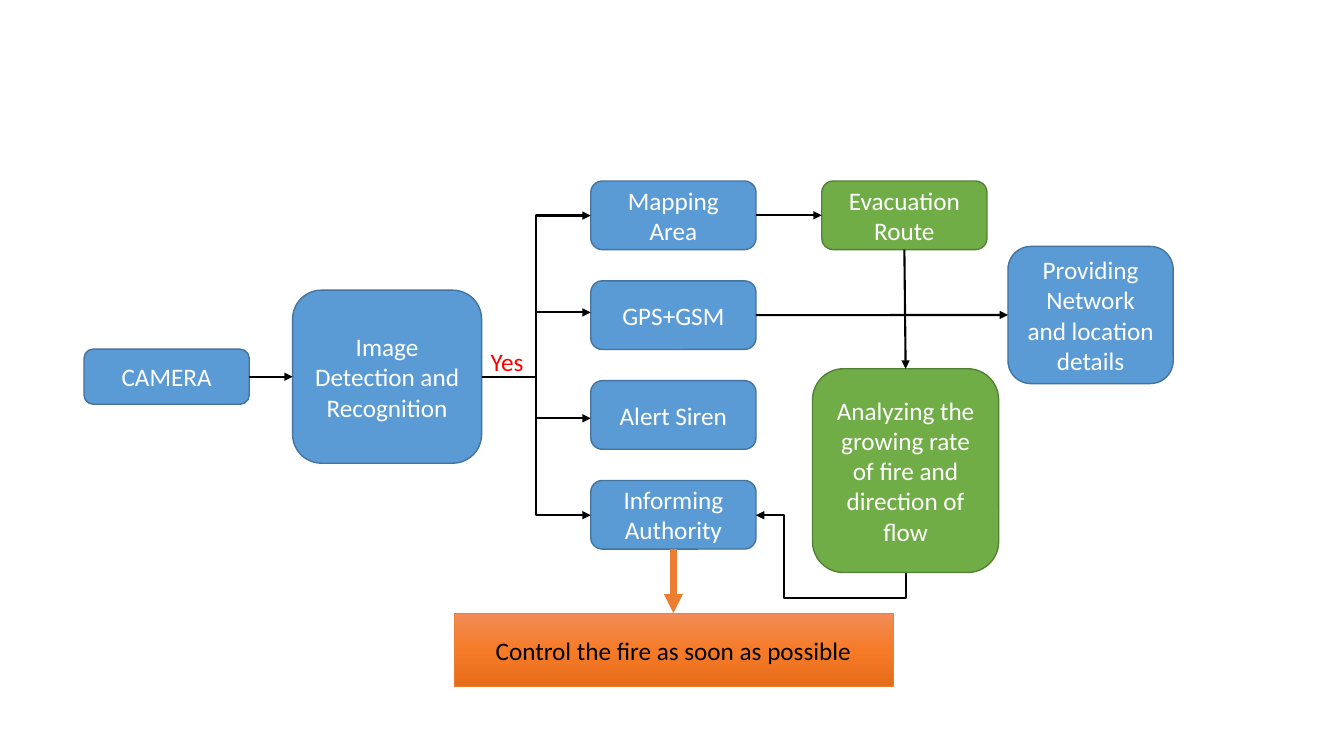
from copy import deepcopy

from lxml import etree
from pptx import Presentation
from pptx import util as u
from pptx.dml.color import RGBColor
from pptx.enum import shapes, text
from pptx.oxml.ns import qn

COLORS = {
    "blue": "5B9BD5", "blue_edge": "43739E",
    "green": "70AD47", "green_edge": "538035",
    "orange": "ED7D31", "white": "FFFFFF", "black": "000000", "red": "FF0000",
    "fire_top": "F18C57", "fire_mid": "F67B28", "fire_bottom": "E56C19",
}
TOP, LEFT, BOTTOM, RIGHT = range(4)


def color(name):
    return RGBColor.from_string(COLORS[name])


class FlowSlide:
    font = "Calibri"
    size = 18

    def __init__(self, deck):
        self.slide = deck.slides.add_slide(deck.slide_layouts[6])

    def add_words(self, frame, words, ink, align):
        paragraph = frame.paragraphs[0]
        paragraph.alignment = align
        run = paragraph.add_run()
        run.text = words
        run.font.name = self.font
        run.font.size = u.Pt(self.size)
        run.font.color.rgb = color(ink)

    def box(self, words, x, y, w, h, fill="blue", edge="blue_edge", edge_width=1,
            ink="white", kind=shapes.MSO_SHAPE.ROUNDED_RECTANGLE):
        box = self.slide.shapes.add_shape(kind, u.Pt(x), u.Pt(y), u.Pt(w), u.Pt(h))
        box.shadow.inherit = False
        box.fill.solid()
        box.fill.fore_color.rgb = color(fill)
        box.line.color.rgb = color(edge)
        box.line.width = u.Pt(edge_width)
        box.text_frame.word_wrap = True
        box.text_frame.vertical_anchor = text.MSO_ANCHOR.MIDDLE
        self.add_words(box.text_frame, words, ink, text.PP_ALIGN.CENTER)
        return box

    def gradient(self, box, names):
        box.fill.gradient()
        box.fill.gradient_angle = 270
        stop_list = box._element.spPr.find(qn("a:gradFill")).find(qn("a:gsLst"))
        while len(stop_list) < len(names):
            stop_list.append(deepcopy(stop_list[0]))
        for i, (stop, name) in enumerate(zip(box.fill.gradient_stops, names)):
            stop.position = i / (len(names) - 1)
            stop.color.rgb = color(name)

    def label(self, words, x, y, w, h, ink):
        frame = self.slide.shapes.add_textbox(u.Pt(x), u.Pt(y), u.Pt(w), u.Pt(h)).text_frame
        frame.word_wrap = False
        self.add_words(frame, words, ink, text.PP_ALIGN.LEFT)

    def connector(self, kind, x1, y1, x2, y2, ink="black", width=1.5):
        link = self.slide.shapes.add_connector(kind, u.Pt(x1), u.Pt(y1), u.Pt(x2), u.Pt(y2))
        link.line.color.rgb = color(ink)
        link.line.width = u.Pt(width)
        properties = link._element.spPr
        etree.SubElement(properties.find(qn("a:ln")), qn("a:tailEnd"), type="triangle")
        etree.SubElement(properties, qn("a:effectLst"))
        return link

    def arrow(self, source, source_side, target, target_side, **style):
        link = self.connector(shapes.MSO_CONNECTOR.STRAIGHT, 0, 0, 0, 0, **style)
        link.begin_connect(source, source_side)
        link.end_connect(target, target_side)

    def elbow(self, x1, y1, x2, y2):
        return self.connector(shapes.MSO_CONNECTOR.ELBOW, x1, y1, x2, y2)

    def return_elbow(self, x1, y1, x2, y2, drop, turn):
        middle_x, middle_y = (x1 + x2) / 2, (y1 + y2) / 2
        half_w, half_h = (y1 - y2) / 2, (x1 - x2) / 2
        link = self.elbow(middle_x + half_w, middle_y - half_h,
                          middle_x - half_w, middle_y + half_h)
        properties = link._element.spPr
        properties.find(qn("a:xfrm")).set("rot", "5400000")
        geometry = properties.find(qn("a:prstGeom"))
        geometry.set("prst", "bentConnector4")
        guides = geometry.find(qn("a:avLst"))
        if guides is None:
            guides = etree.SubElement(geometry, qn("a:avLst"))
        for i, share in enumerate((-drop / (y1 - y2), turn / (x1 - x2)), 1):
            etree.SubElement(guides, qn("a:gd"), name=f"adj{i}",
                             fmla=f"val {round(share * 100000)}")


def main():
    deck = Presentation()
    deck.slide_width, deck.slide_height = u.Pt(960), u.Pt(540)
    flow = FlowSlide(deck)
    green = {"fill": "green", "edge": "green_edge"}

    camera = flow.box("CAMERA", 60, 249.4, 118, 39.4)
    detection = flow.box("Image Detection and Recognition", 209, 207.3, 135, 123.6)
    actions = ("Mapping Area", "GPS+GSM", "Alert Siren", "Informing Authority")
    mapping, gps, siren, authority = [
        flow.box(words, 422, 129.3 + 71.3 * row, 118, 49) for row, words in enumerate(actions)
    ]
    flow.arrow(camera, RIGHT, detection, LEFT)
    for action_y in (154, 223.2, 298.8, 368):
        flow.elbow(344, 269.1, 422, action_y)
    flow.label("Yes", 343.4, 244, 39, 29, "red")

    evacuation = flow.box("Evacuation Route", 587, 129.3, 118, 49, **green)
    flow.arrow(mapping, RIGHT, evacuation, LEFT)
    network = flow.box("Providing Network and location details", 720, 176, 118, 98)
    flow.arrow(gps, RIGHT, network, LEFT)
    analysis = flow.box("Analyzing the growing rate of fire and direction of flow",
                        580.4, 263.4, 133, 145.6, **green)
    flow.arrow(evacuation, BOTTOM, analysis, TOP)
    flow.return_elbow(647, 409, 540, 368, drop=18, turn=87)

    control = flow.box("Control the fire as soon as possible", 324.2, 438, 313.6, 52.6,
                       edge="orange", edge_width=0.5, ink="black",
                       kind=shapes.MSO_SHAPE.RECTANGLE)
    flow.gradient(control, ("fire_top", "fire_mid", "fire_bottom"))
    flow.arrow(authority, BOTTOM, control, TOP, ink="orange", width=4.5)

    deck.save("out.pptx")


if __name__ == "__main__":
    main()
